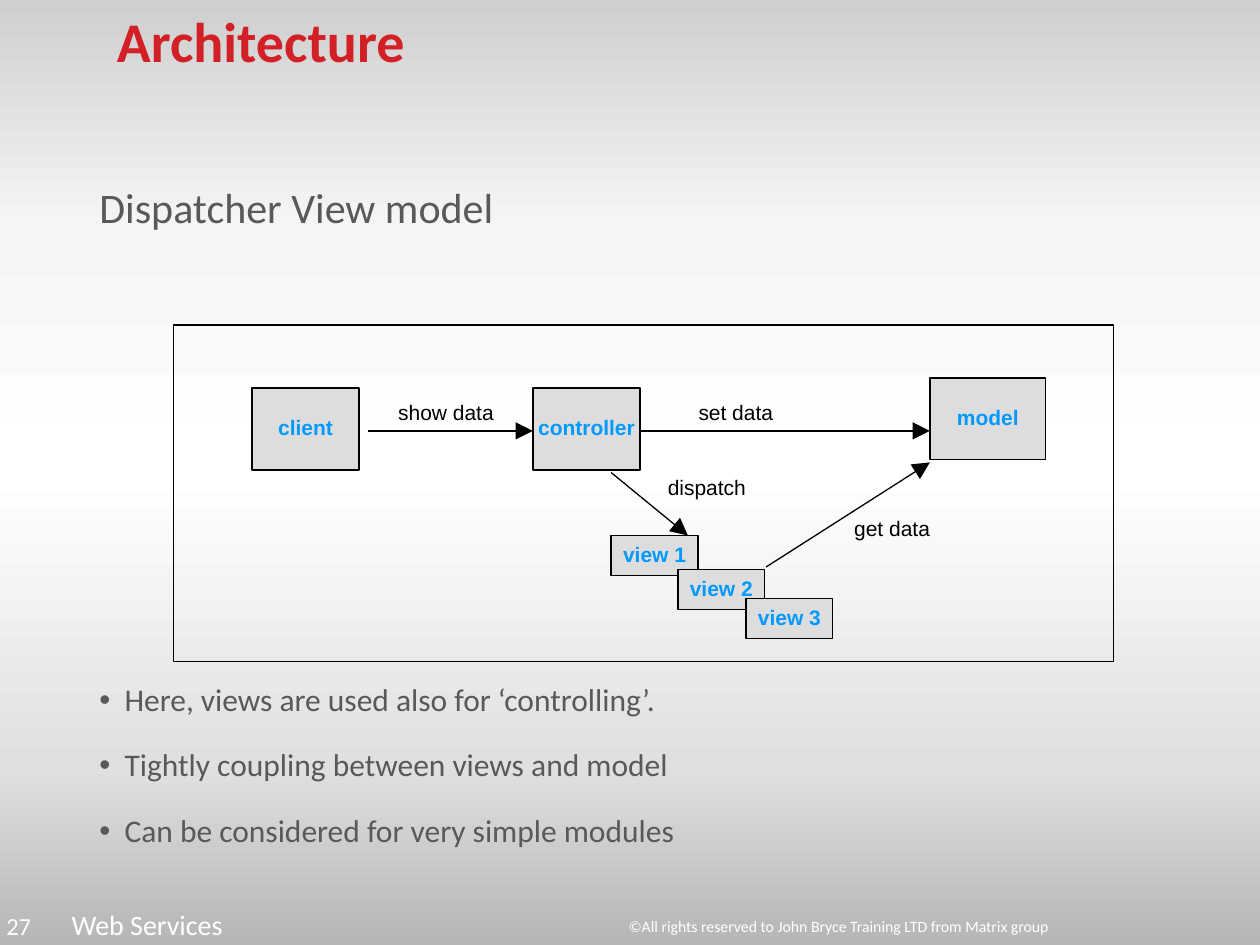
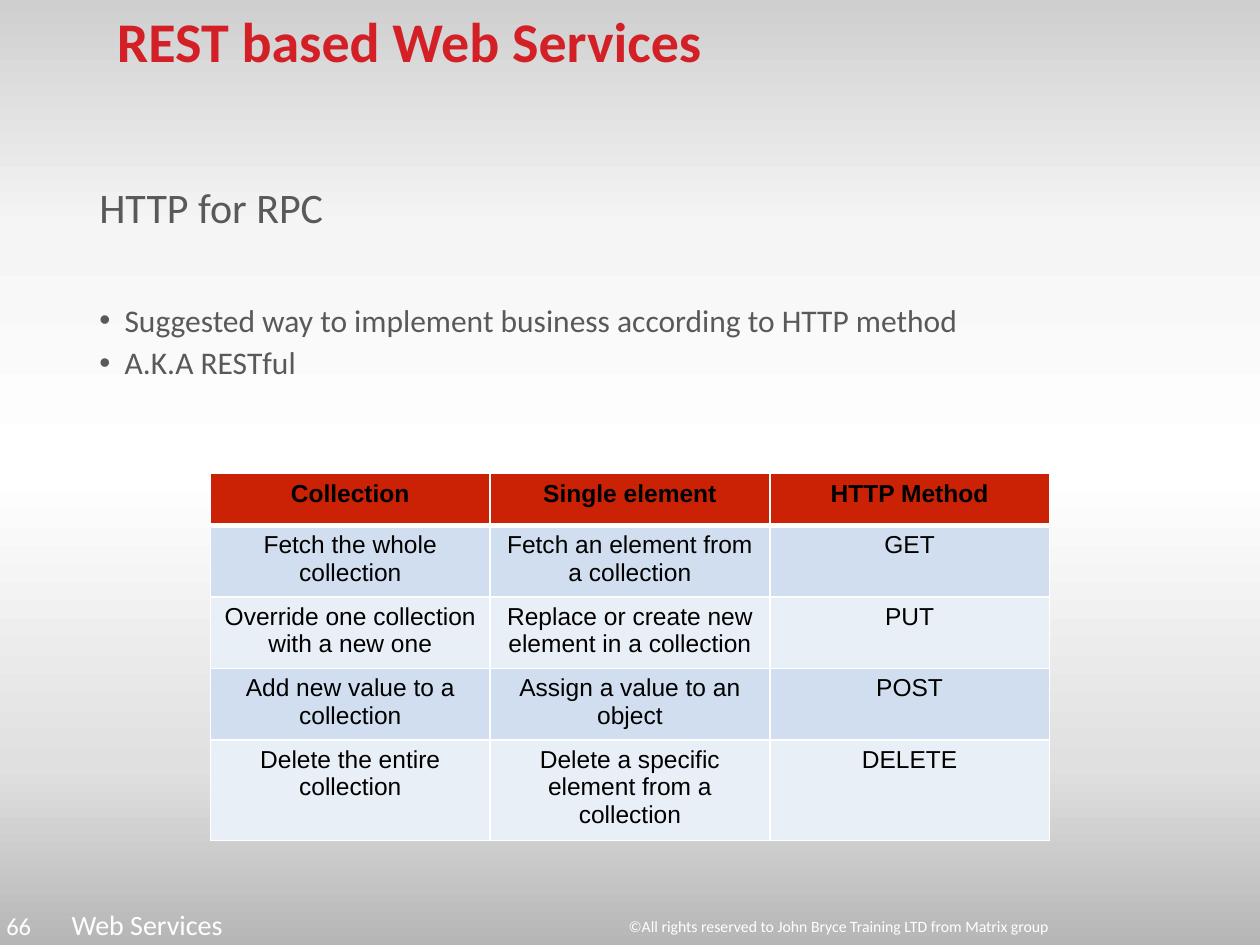
from typing import NamedTuple

from pptx import Presentation
from pptx.dml.color import RGBColor
from pptx.enum.shapes import MSO_CONNECTOR as Link, MSO_SHAPE as Shape
from pptx.enum.text import MSO_ANCHOR as Anchor, PP_ALIGN as Align
from pptx.oxml import parse_xml
from pptx.oxml.ns import nsdecls, qn
from pptx.util import Inches, Pt

RED = RGBColor(0xD3, 0x20, 0x27)
GRAY = RGBColor(0x59, 0x59, 0x59)
WHITE = RGBColor(0xFF, 0xFF, 0xFF)
BLACK = RGBColor(0x00, 0x00, 0x00)
BLUE = RGBColor(0x00, 0x99, 0xFF)
SILVER = RGBColor(0xDD, 0xDD, 0xDD)
HEAD = RGBColor(0xCB, 0x21, 0x05)
BANDS = (RGBColor(0xD0, 0xDE, 0xEF), RGBColor(0xE9, 0xEF, 0xF7))
STOPS = ((0, "CFCFCF"), (24, "F5F5F5"), (50, "FFFFFF"), (81, "E0E0E0"), (100, "B6B6B6"))


class Area(NamedTuple):
    left: float
    top: float
    width: float
    height: float


class Style(NamedTuple):
    size: float
    color: RGBColor
    font: str = "Calibri"
    bold: bool = False
    anchor: Anchor = Anchor.TOP
    align: Align = Align.LEFT
    spacing: float = 0.9
    inset: tuple[float, float] = (0.1, 0.05)


class Label(NamedTuple):
    text: str
    area: Area


class Arrow(NamedTuple):
    start: tuple[float, float]
    end: tuple[float, float]


TITLE = Style(32, RED, bold=True, anchor=Anchor.MIDDLE)
TOPIC = Style(24, GRAY)
POINT = Style(18, GRAY)
COURSE = Style(16, WHITE, anchor=Anchor.MIDDLE)
RIGHTS = Style(9, WHITE, spacing=1)
NUMBER = Style(14, WHITE, spacing=1, inset=(0.05, 0.05))
NOTE = Style(12, BLACK, "Arial", False, Anchor.MIDDLE, Align.CENTER, 0.85, (0, 0))
NODE = NOTE._replace(color=BLUE, bold=True)
CELL = Style(14, BLACK, "Arial", align=Align.CENTER, spacing=1)

FRAME = Area(1.38, 2.58, 7.46, 2.67)
NODES = (
    Label("client", Area(2, 3.08, 0.85, 0.65)),
    Label("controller", Area(4.23, 3.08, 0.85, 0.65)),
    Label("model", Area(7.38, 3, 0.92, 0.65)),
    Label("view 1", Area(4.85, 4.25, 0.69, 0.32)),
    Label("view 2", Area(5.38, 4.52, 0.69, 0.32)),
    Label("view 3", Area(5.92, 4.75, 0.69, 0.32)),
)
NOTES = (
    Label("show data", Area(3.08, 3.08, 0.92, 0.42)),
    Label("set data", Area(5.38, 3.08, 0.92, 0.42)),
    Label("dispatch", Area(5.15, 3.67, 0.92, 0.42)),
    Label("get data", Area(6.62, 4, 0.92, 0.42)),
)
ARROWS = (
    Arrow((2.92, 3.42), (4.23, 3.42)),
    Arrow((5.08, 3.42), (7.38, 3.42)),
    Arrow((4.85, 3.75), (5.46, 4.25)),
    Arrow((6.08, 4.5), (7.38, 3.67)),
)
METHODS = (
    ("Collection", "Single element", "HTTP Method"),
    ("Fetch the whole collection", "Fetch an element from a collection", "GET"),
    ("Override one collection with a new one",
     "Replace or create new element in a collection", "PUT"),
    ("Add new value to a collection", "Assign a value to an object", "POST"),
    ("Delete the entire collection", "Delete a specific element from a collection", "DELETE"),
)


def place(area: Area) -> list:
    return [Inches(side) for side in area]


def set_para(para, text: str, style: Style) -> None:
    para.text = text
    para.alignment = style.align
    para.line_spacing = style.spacing
    for run in para.runs:
        run.font.size = Pt(style.size)
        run.font.name = style.font
        run.font.bold = style.bold
        run.font.color.rgb = style.color


def set_frame(frame, style: Style) -> None:
    frame.word_wrap = True
    frame.vertical_anchor = style.anchor
    side, edge = map(Inches, style.inset)
    frame.margin_left = frame.margin_right = side
    frame.margin_top = frame.margin_bottom = edge


def add_text(slide, label: Label, style: Style) -> None:
    frame = slide.shapes.add_textbox(*place(label.area)).text_frame
    set_frame(frame, style)
    set_para(frame.paragraphs[0], label.text, style)


def add_points(slide, area: Area, points: tuple[str, ...], gap: float) -> None:
    """Add a bulleted list with gap points between its paragraphs."""
    frame = slide.shapes.add_textbox(*place(area)).text_frame
    set_frame(frame, POINT)
    for i, text in enumerate(points):
        para = frame.add_paragraph() if i else frame.paragraphs[0]
        props = para._p.get_or_add_pPr()
        props.set("marL", str(Inches(0.2)))
        props.set("indent", str(Inches(-0.2)))
        for tag in (f'<a:buClr {nsdecls("a")}><a:srgbClr val="{GRAY}"/></a:buClr>',
                    f'<a:buFont {nsdecls("a")} typeface="Arial"/>',
                    f'<a:buChar {nsdecls("a")} char="•"/>'):
            props.append(parse_xml(tag))
        set_para(para, text, POINT)
        if i:
            para.space_before = Pt(gap)


def add_rect(slide, area: Area, fill: RGBColor | None = None):
    rect = slide.shapes.add_shape(Shape.RECTANGLE, *place(area))
    rect.shadow.inherit = False
    if fill is None:
        rect.fill.background()
    else:
        rect.fill.solid()
        rect.fill.fore_color.rgb = fill
    rect.line.color.rgb = BLACK
    rect.line.width = Pt(0.75)
    return rect


def add_node(slide, node: Label) -> None:
    frame = add_rect(slide, node.area, SILVER).text_frame
    set_frame(frame, NODE)
    set_para(frame.paragraphs[0], node.text, NODE)


def add_arrow(slide, arrow: Arrow) -> None:
    ends = [Inches(n) for n in arrow.start + arrow.end]
    line = slide.shapes.add_connector(Link.STRAIGHT, *ends)
    line.line.color.rgb = BLACK
    line.line.width = Pt(0.75)
    tip = f'<a:tailEnd {nsdecls("a")} type="triangle" w="lg" len="lg"/>'
    line.line._get_or_add_ln().append(parse_xml(tip))
    line._element.spPr.append(parse_xml(f'<a:effectLst {nsdecls("a")}/>'))


def set_edges(cell, top: float, bottom: float) -> None:
    """Draw white cell borders; top and bottom are widths in points."""
    props = cell._tc.get_or_add_tcPr()
    for i, (side, width) in enumerate((("L", 1), ("R", 1), ("T", top), ("B", bottom))):
        props.insert(i, parse_xml(
            f'<a:ln{side} {nsdecls("a")} w="{Pt(width)}"><a:solidFill>'
            f'<a:srgbClr val="{WHITE}"/></a:solidFill></a:ln{side}>'))


def add_grid(slide, area: Area, rows: tuple[tuple[str, ...], ...]) -> None:
    grid = slide.shapes.add_table(len(rows), len(rows[0]), *place(area)).table
    for r, row in enumerate(rows):
        for c, text in enumerate(row):
            cell = grid.cell(r, c)
            cell.fill.solid()
            cell.fill.fore_color.rgb = BANDS[(r - 1) % 2] if r else HEAD
            set_edges(cell, 3 if r == 1 else 1, 1 if r else 3)
            set_para(cell.text_frame.paragraphs[0], text, CELL._replace(bold=r == 0))


def set_back(master) -> None:
    """Give the master its vertical gray gradient."""
    fill = master.background.fill
    fill.gradient()
    fill.gradient_angle = 270
    stops = next(master._element.iter(qn("a:gsLst")))
    for stop in list(stops):
        stops.remove(stop)
    for share, color in STOPS:
        stops.append(parse_xml(
            f'<a:gs {nsdecls("a")} pos="{share * 1000}"><a:srgbClr val="{color}"/></a:gs>'))


def add_slide(deck, title: str, topic: str, number: int):
    """Add a slide with the shared footer, title and topic line."""
    slide = deck.slides.add_slide(deck.slide_layouts[6])
    rights = "©All rights reserved to John Bryce Training LTD from Matrix group"
    add_text(slide, Label(rights, Area(4.89, 7.23, 3.8, 0.25)), RIGHTS)
    add_text(slide, Label("Web Services", Area(0.47, 7.2, 4.3, 0.3)), COURSE)
    add_text(slide, Label(str(number), Area(0, 7.18, 0.67, 0.32)), NUMBER)
    add_text(slide, Label(title, Area(0.83, -0.07, 8.62, 0.85)), TITLE)
    add_text(slide, Label(topic, Area(0.69, 1.44, 8.62, 0.5)), TOPIC)
    return slide


def add_model(deck) -> None:
    slide = add_slide(deck, "Architecture", "Dispatcher View model", 27)
    add_rect(slide, FRAME)
    for node in NODES:
        add_node(slide, node)
    for arrow in ARROWS:
        add_arrow(slide, arrow)
    for note in NOTES:
        add_text(slide, note, NOTE)
    add_points(slide, Area(0.69, 5.38, 8.62, 1.5), (
        "Here, views are used also for ‘controlling’.",
        "Tightly coupling between views and model",
        "Can be considered for very simple modules"), 18)


def add_rest(deck) -> None:
    slide = add_slide(deck, "REST based Web Services", "HTTP for RPC", 66)
    add_points(slide, Area(0.69, 2.37, 8.62, 0.8), (
        "Suggested way to implement business according to HTTP method",
        "A.K.A RESTful"), 5)
    add_grid(slide, Area(1.67, 3.76, 6.66, 2.05), METHODS)


def main() -> None:
    deck = Presentation()
    deck.slide_width, deck.slide_height = Inches(10), Inches(7.5)
    set_back(deck.slide_master)
    add_model(deck)
    add_rest(deck)
    deck.save("out.pptx")


if __name__ == "__main__":
    main()
